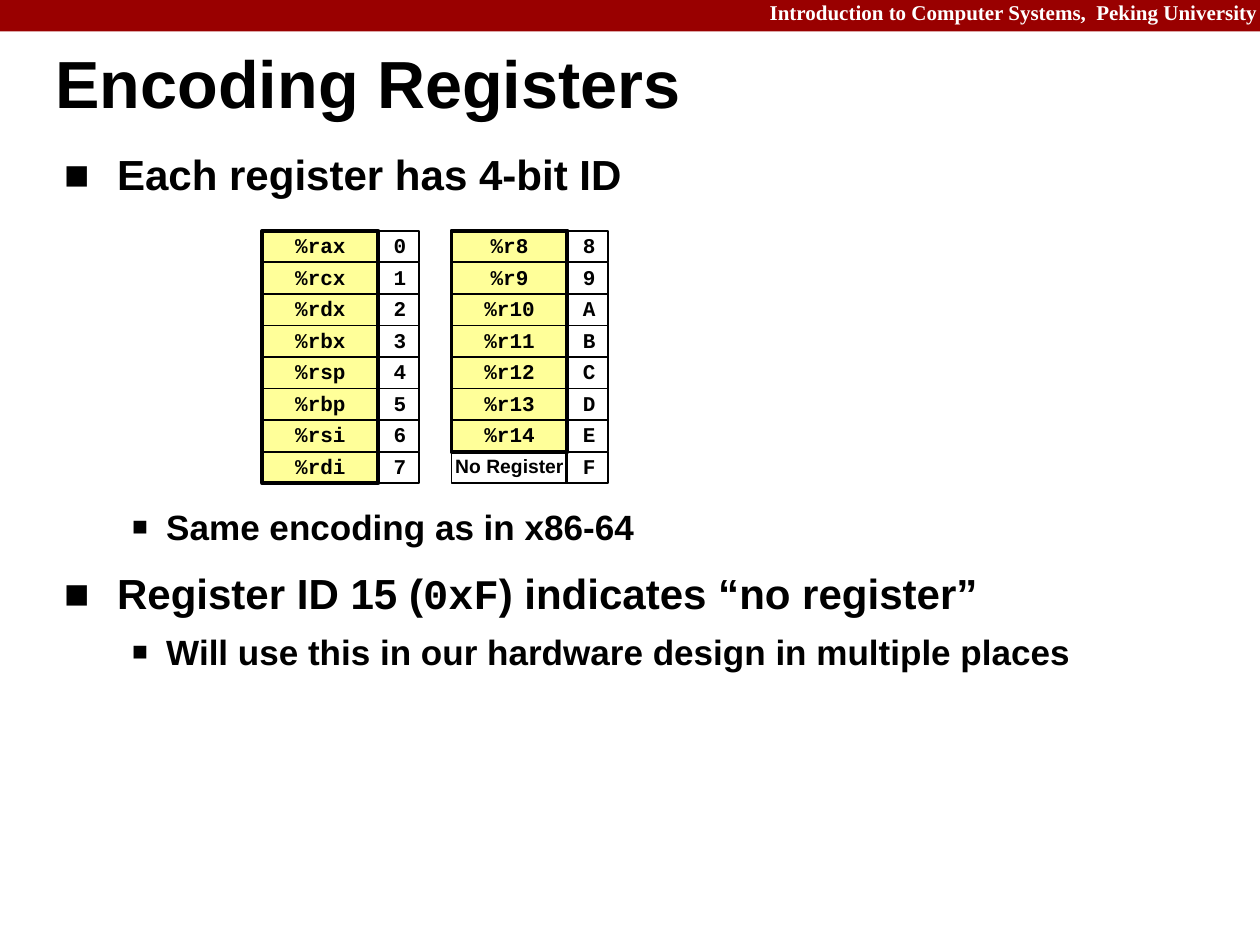
from lxml.etree import SubElement
from pptx import Presentation
from pptx.dml.color import RGBColor
from pptx.enum.shapes import MSO_SHAPE as Shape
from pptx.enum.text import MSO_ANCHOR as Anchor, MSO_AUTO_SIZE as AutoSize, PP_ALIGN as Align
from pptx.oxml.ns import qn
from pptx.util import Inches, Pt

COLORS = {"black": "000000", "white": "FFFFFF", "banner": "990000", "register": "FFFF99"}
SANS, MONO, SERIF = "Arial", "Courier New", "Times New Roman"
ROW_HEIGHT, NAME_WIDTH, ID_WIDTH = 0.25, 0.92, 0.33
TABLE_TOP = 1.83


class SlideBuilder:
    def __init__(self, slide):
        self.slide = slide

    def color(self, name):
        return RGBColor.from_string(COLORS[name])

    def add_run(self, paragraph, text, size, font=SANS, color="black"):
        run = paragraph.add_run()
        run.text = text
        run.font.name = font
        run.font.size = Pt(size)
        run.font.bold = True
        run.font.color.rgb = self.color(color)

    def text_box(self, box, inset=(0.1, 0.05), anchor=Anchor.TOP):
        frame = self.slide.shapes.add_textbox(*map(Inches, box)).text_frame
        frame.word_wrap = True
        frame.auto_size = AutoSize.NONE
        frame.vertical_anchor = anchor
        frame.margin_left = frame.margin_right = Inches(inset[0])
        frame.margin_top = frame.margin_bottom = Inches(inset[1])
        return frame

    def line_of_text(self, box, text, size, font=SANS, color="black",
                     align=Align.LEFT, spacing=0.9, **frame_style):
        paragraph = self.text_box(box, **frame_style).paragraphs[0]
        paragraph.alignment = align
        paragraph.line_spacing = spacing
        self.add_run(paragraph, text, size, font, color)

    def rectangle(self, box, fill=None, line_width=None, parent=None):
        shapes = (parent or self.slide).shapes
        shape = shapes.add_shape(Shape.RECTANGLE, *map(Inches, box))
        shape.shadow.inherit = False
        if fill:
            shape.fill.solid()
            shape.fill.fore_color.rgb = self.color(fill)
        else:
            shape.fill.background()
        if line_width:
            shape.line.color.rgb = self.color("black")
            shape.line.width = Pt(line_width)
        else:
            shape.line.fill.background()
        return shape

    def cell(self, parent, box, text, align, size=12, font=MONO):
        frame = self.rectangle(box, line_width=1, parent=parent).text_frame
        frame.word_wrap = False
        frame.vertical_anchor = Anchor.MIDDLE
        paragraph = frame.paragraphs[0]
        paragraph.alignment = align
        paragraph.line_spacing = 0.9
        self.add_run(paragraph, text, size, font)

    def register_table(self, left, names, ids):
        group = self.slide.shapes.add_group_shape()
        register_count = sum(name.startswith("%") for name in names)
        self.rectangle((left, TABLE_TOP, NAME_WIDTH, register_count * ROW_HEIGHT),
                       "register", 2.25, group)
        for row, (name, register_id) in enumerate(zip(names, ids)):
            top = TABLE_TOP + row * ROW_HEIGHT
            style = {} if name.startswith("%") else {"size": 11, "font": SANS}
            self.cell(group, (left, top, NAME_WIDTH, ROW_HEIGHT), name, Align.CENTER, **style)
            self.cell(group, (left + NAME_WIDTH - 0.01, top, ID_WIDTH, ROW_HEIGHT),
                      register_id, Align.RIGHT)

    def bullet(self, paragraph, runs, level, space_before):
        size, margin, indent, bullet_size = ((24, 0.42, -0.42, 100), (20, 0.81, -0.27, 75))[level]
        paragraph.level = level
        paragraph.line_spacing = (0.95, 1.0)[level]
        paragraph.space_before = Pt(space_before)
        properties = paragraph._p.get_or_add_pPr()
        properties.set("marL", str(Inches(margin)))
        properties.set("indent", str(Inches(indent)))
        SubElement(properties, qn("a:buSzPct"), val=str(bullet_size * 1000))
        SubElement(properties, qn("a:buFont"), typeface=SANS)
        SubElement(properties, qn("a:buChar"), char="■")
        for text, font in runs:
            self.add_run(paragraph, text, size, font)

    def bullet_list(self, box, items):
        frame = self.text_box(box)
        for index, item in enumerate(items):
            paragraph = frame.add_paragraph() if index else frame.paragraphs[0]
            self.bullet(paragraph, *item)


def main():
    presentation = Presentation()
    presentation.slide_width, presentation.slide_height = Inches(9.99), Inches(7.49)
    builder = SlideBuilder(presentation.slides.add_slide(presentation.slide_layouts[6]))

    # Banner and title
    builder.rectangle((0, 0, 9.99, 0.25), "banner")
    builder.line_of_text((6, -0.03, 4.07, 0.28),
                         "Introduction to Computer Systems,  Peking University",
                         12, SERIF, "white", Align.RIGHT)
    builder.line_of_text((0.44, 0.27, 9.52, 0.85), "Encoding Registers", 38,
                         spacing=0.87, inset=(0, 0), anchor=Anchor.MIDDLE)

    # Bullets, with room for the tables after the first: runs, level, space before
    builder.bullet_list((0.41, 1.16, 9.07, 5.78), [
        ([("Each register has 4-bit ID", SANS)], 0, 0),
        ([("Same encoding as in x86-64", SANS)], 1, 174),
        ([("Register ID 15 (", SANS), ("0xF", MONO),
          (") indicates “no register”", SANS)], 0, 13.5),
        ([("Will use this in our hardware design in multiple places", SANS)], 1, 6.5),
    ])

    # Register tables
    low_names = ["%rax", "%rcx", "%rdx", "%rbx", "%rsp", "%rbp", "%rsi", "%rdi"]
    high_names = [f"%r{number}" for number in range(8, 15)] + ["No Register"]
    builder.register_table(2.08, low_names, "01234567")
    builder.register_table(3.58, high_names, "89ABCDEF")

    presentation.save("out.pptx")


if __name__ == "__main__":
    main()
